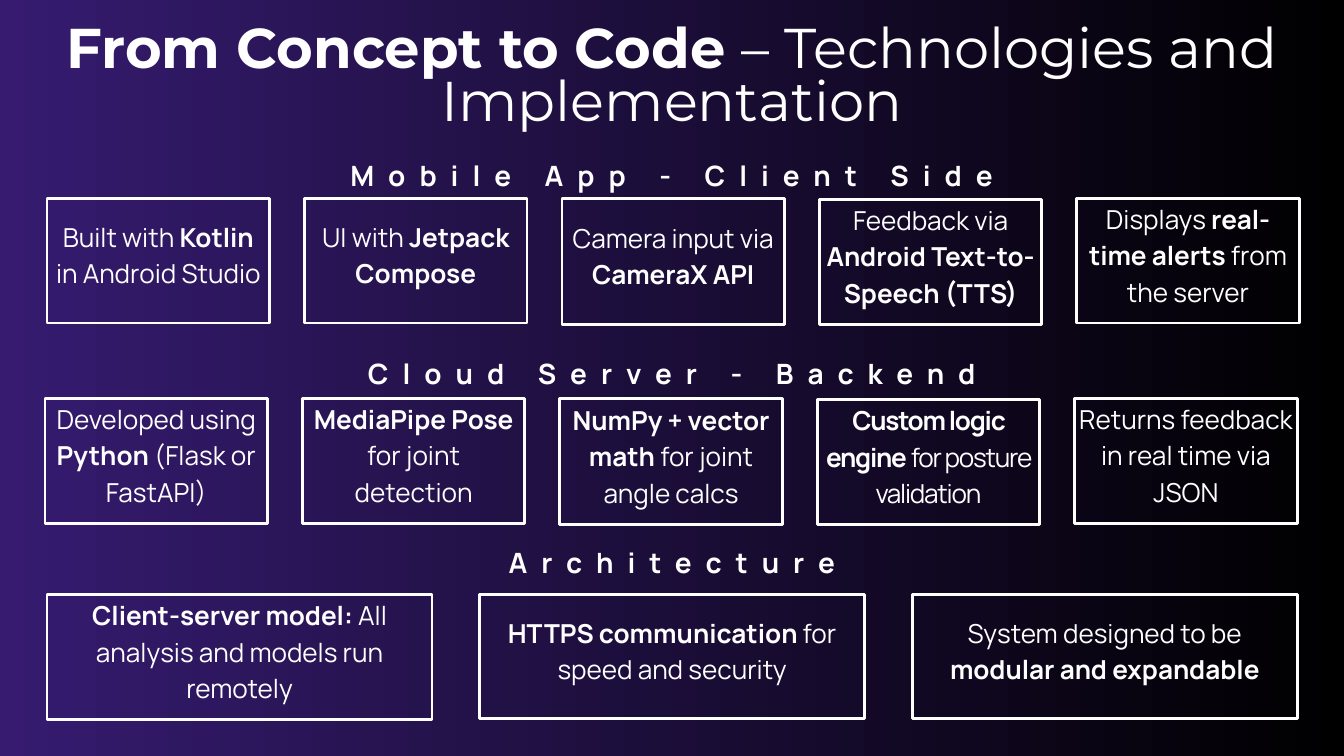
from dataclasses import dataclass

from pptx import Presentation
from pptx.dml.color import RGBColor
from pptx.enum.shapes import MSO_SHAPE
from pptx.enum.text import MSO_ANCHOR, MSO_AUTO_SIZE, PP_ALIGN
from pptx.slide import Slide
from pptx.text.text import TextFrame
from pptx.util import Cm, Pt

COLORS = {"violet": "361B70", "black": "000000", "white": "FFFFFF"}
SLIDE_WIDTH, SLIDE_HEIGHT = 50.8, 28.58


@dataclass(frozen=True)
class TextStyle:
    font: str
    size: float
    line_spacing: float
    tracking: float = 0


TITLE = TextStyle("Montserrat", 60, 57)
HEADING = TextStyle("Manrope", 30, 42, tracking=15)
BODY = TextStyle("Manrope", 28, 39.2)
TIGHT_BODY = TextStyle("Manrope", 28, 39.2, tracking=-1.3)


@dataclass(frozen=True)
class Card:
    text: str
    height: float = 4.72
    drop: float = 0
    style: TextStyle = BODY


@dataclass(frozen=True)
class Section:
    """A heading over a row of evenly spaced cards; lengths in centimetres."""
    heading: str
    heading_top: float
    left: float
    top: float
    card_width: float
    pitch: float
    cards: list[Card]


SECTIONS = [
    Section("Mobile App - Client Side", 5.77, 1.78, 7.49, 8.41, 9.73, [
        Card("Built with **Kotlin** in Android Studio"),
        Card("UI with **Jetpack Compose**"),
        Card("Camera input via **CameraX API**", height=4.78),
        Card("Feedback via **Android Text-to-Speech (TTS)**", drop=0.05),
        Card("Displays **real-time alerts** from the server"),
    ]),
    Section("Cloud Server - Backend", 13.28, 1.7, 15.06, 8.41, 9.73, [
        Card("Developed using **Python** (Flask or FastAPI)"),
        Card("**MediaPipe Pose** for joint detection"),
        Card("**NumPy + vector math** for joint angle calcs", height=4.78),
        Card("**Custom logic engine** for posture validation",
             drop=0.05, style=TIGHT_BODY),
        Card("Returns feedback in real time via JSON"),
    ]),
    Section("Architecture", 20.42, 1.78, 22.48, 14.55, 16.35, [
        Card("**Client-server model:** All analysis and models run remotely"),
        Card("**HTTPS communication** for speed and security", height=4.67),
        Card("System designed to be **modular and expandable**", height=4.67),
    ]),
]


def color(name: str) -> RGBColor:
    return RGBColor.from_string(COLORS[name])


def write_text(frame: TextFrame, text: str, style: TextStyle, anchor: MSO_ANCHOR,
               side_margin: float = 0, bottom_margin: float = 0) -> None:
    """Write centred text in which ** marks the start and end of bold."""
    frame.word_wrap = True
    frame.auto_size = MSO_AUTO_SIZE.NONE
    frame.vertical_anchor = anchor
    frame.margin_left = frame.margin_right = Cm(side_margin)
    frame.margin_top, frame.margin_bottom = Cm(0), Cm(bottom_margin)
    paragraph = frame.paragraphs[0]
    paragraph.alignment = PP_ALIGN.CENTER
    paragraph.line_spacing = Pt(style.line_spacing)
    for index, part in enumerate(text.split("**")):
        if not part:
            continue
        run = paragraph.add_run()
        run.text = part
        run.font.name = style.font
        run.font.size = Pt(style.size)
        run.font.bold = index % 2 == 1
        run.font.color.rgb = color("white")
        if style.tracking:
            run._r.get_or_add_rPr().set("spc", str(round(style.tracking * 100)))


def paint_background(slide: Slide) -> None:
    fill = slide.background.fill
    fill.gradient()
    fill.gradient_angle = 0
    for stop, name, position in zip(fill.gradient_stops, ("violet", "black"), (0, 1)):
        stop.color.rgb = color(name)
        stop.position = position


def add_title(slide: Slide) -> None:
    title = slide.shapes.title
    title.left, title.top = Cm(0), Cm(0.99)
    title.width, title.height = Cm(SLIDE_WIDTH), Cm(4.17)
    write_text(title.text_frame,
               "**From Concept to Code **– Technologies and Implementation",
               TITLE, MSO_ANCHOR.TOP)


def add_card(slide: Slide, card: Card, left: float, top: float, width: float) -> None:
    box = slide.shapes.add_shape(MSO_SHAPE.RECTANGLE, Cm(left), Cm(top + card.drop),
                                 Cm(width), Cm(card.height))
    box.shadow.inherit = False
    box.fill.background()
    box.line.color.rgb = color("white")
    box.line.width = Pt(3)
    write_text(box.text_frame, card.text, card.style, MSO_ANCHOR.MIDDLE,
               side_margin=0.15, bottom_margin=0.6)


def add_section(slide: Slide, section: Section) -> None:
    heading = slide.shapes.add_textbox(Cm(0), Cm(section.heading_top),
                                       Cm(SLIDE_WIDTH), Cm(1.37))
    write_text(heading.text_frame, f"**{section.heading}**", HEADING, MSO_ANCHOR.TOP)
    for column, card in enumerate(section.cards):
        add_card(slide, card, section.left + column * section.pitch,
                 section.top, section.card_width)


def main() -> None:
    presentation = Presentation()
    presentation.slide_width = Cm(SLIDE_WIDTH)
    presentation.slide_height = Cm(SLIDE_HEIGHT)
    slide = presentation.slides.add_slide(presentation.slide_layouts[5])
    paint_background(slide)
    add_title(slide)
    for section in SECTIONS:
        add_section(slide, section)
    presentation.save("out.pptx")


if __name__ == "__main__":
    main()
